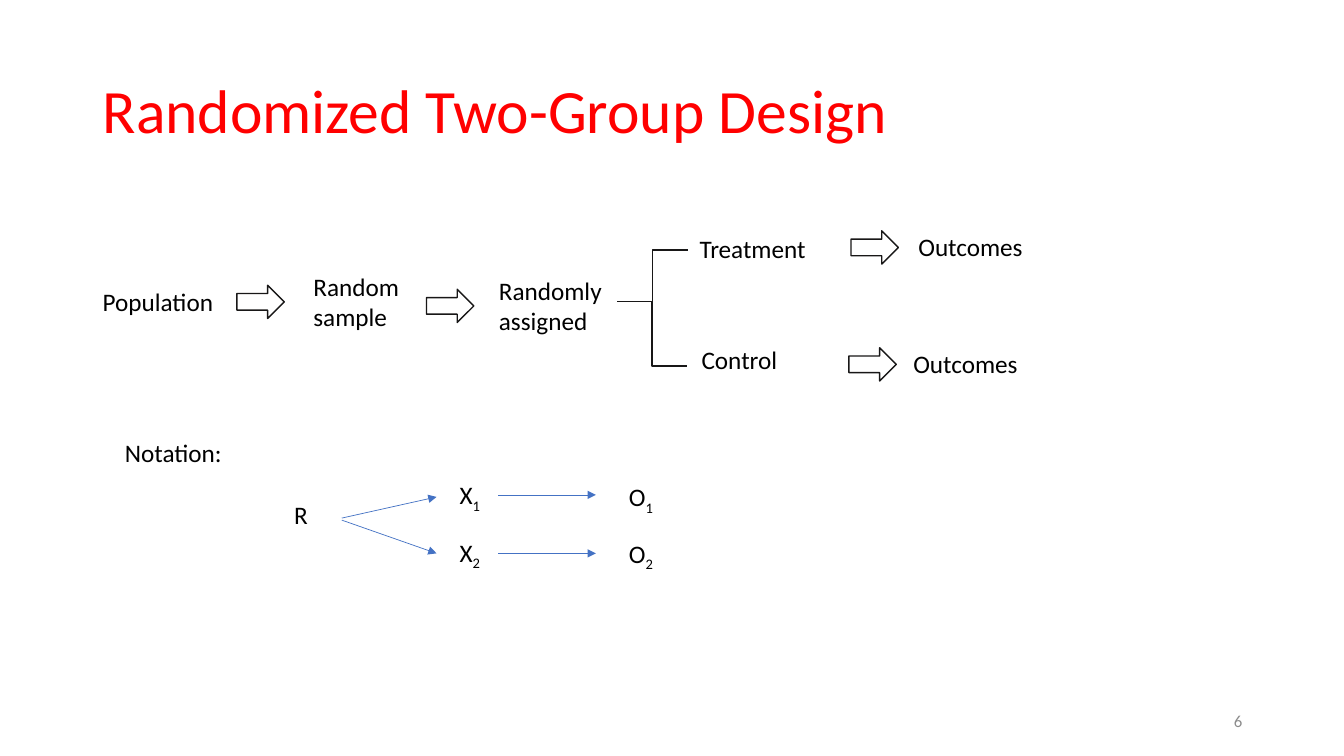
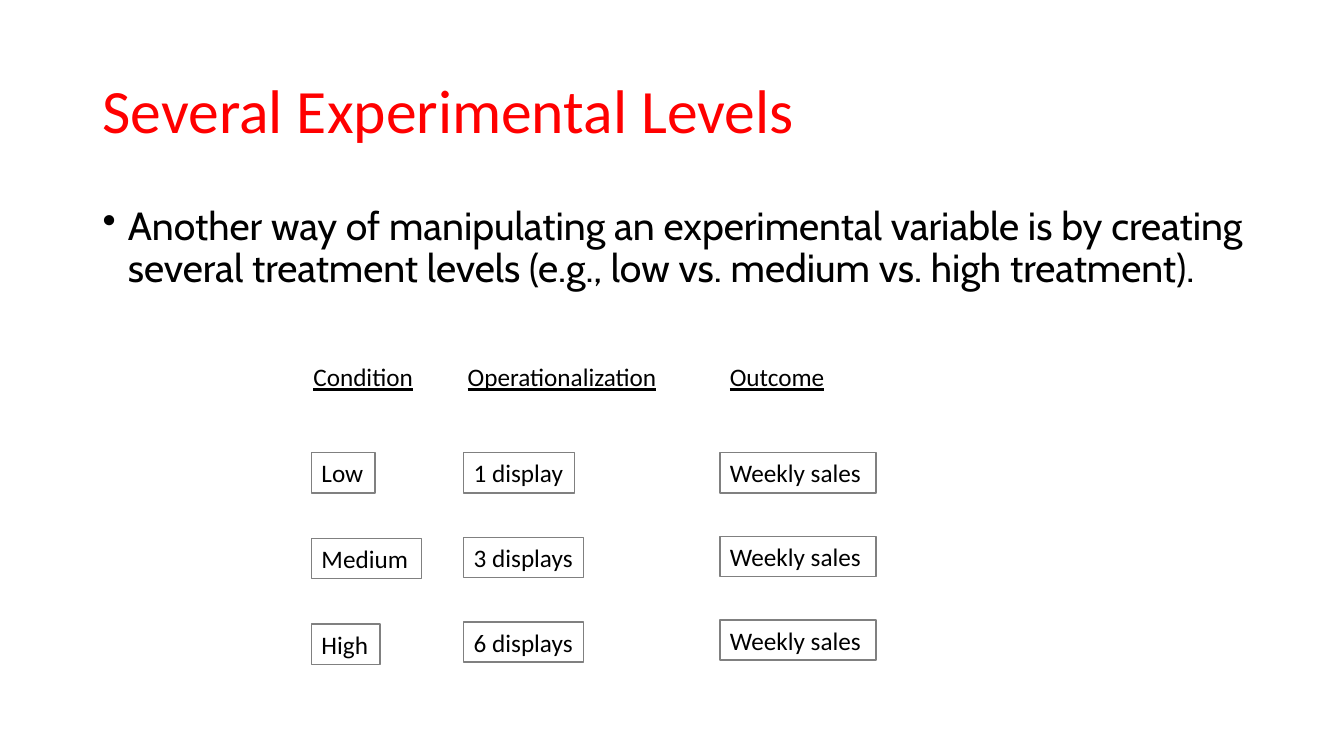
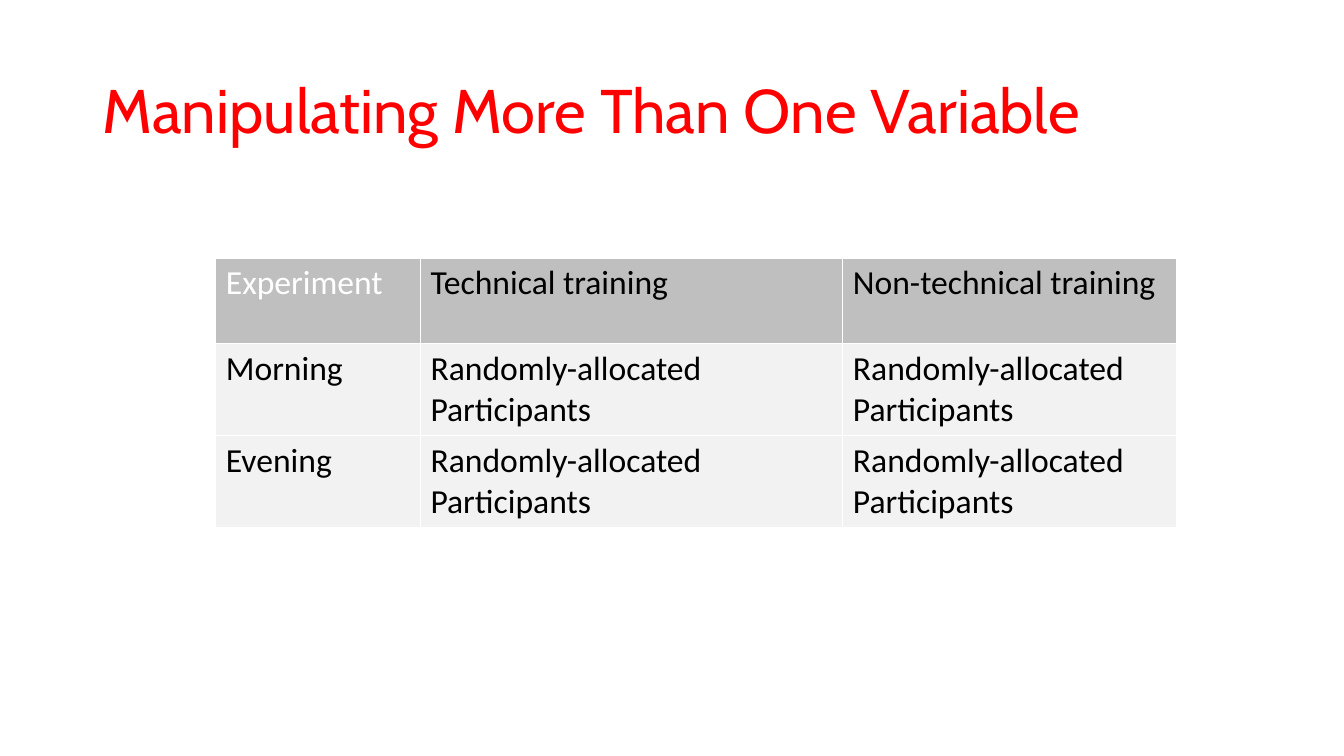
from lxml import etree
from pptx import Presentation
from pptx.dml.color import RGBColor
from pptx.enum import shapes, text
from pptx.oxml import ns
from pptx.util import Inches, Pt

# Shared look
RED = RGBColor(0xFF, 0x00, 0x00)
BLACK = RGBColor(0x00, 0x00, 0x00)
WHITE = RGBColor(0xFF, 0xFF, 0xFF)
INK = RGBColor(0x18, 0x17, 0x17)
BLUE = RGBColor(0x44, 0x72, 0xC4)
EDGE = RGBColor(0x80, 0x80, 0x80)
NUMBER = RGBColor(0x8C, 0x8C, 0x8C)
HEAD = RGBColor(0xBF, 0xBF, 0xBF)
CELL = RGBColor(0xF2, 0xF2, 0xF2)
SANS, CABIN = "Calibri", "Cabin"
LEFT, WIDE, HIGH = 0.92, 11.5, 0.4


def style(par, size=18, color=BLACK, font=SANS, under=None):
    for run in par.runs:
        run.font.size = Pt(size)
        run.font.name = font
        run.font.color.rgb = color
        run.font.underline = under


def label(slide, words, x, y, w, h=HIGH, wrap=True, sub=None, **look):
    """Plain text, with an optional subscript."""
    box = slide.shapes.add_textbox(Inches(x), Inches(y), Inches(w), Inches(h))
    frame = box.text_frame
    frame.text = words
    frame.word_wrap = wrap
    par = frame.paragraphs[0]
    if sub:
        low = par.add_run()
        low.text = sub
        low.font._element.set("baseline", "-25000")
    style(par, **look)
    return box


def title(slide, words, font=SANS):
    box = label(slide, words, LEFT, 0.4, WIDE, 1.45, size=44, color=RED, font=font)
    box.text_frame.vertical_anchor = text.MSO_ANCHOR.MIDDLE
    box.text_frame.paragraphs[0].line_spacing = 0.9


def bullet(slide, words):
    box = label(slide, words, LEFT, 2, WIDE, 4.76, size=28, font=CABIN)
    par = box.text_frame.paragraphs[0]
    par.line_spacing = 0.9
    par.space_before = Pt(10)
    props = par._p.get_or_add_pPr()
    props.set("marL", str(Inches(0.25)))
    props.set("indent", str(Inches(-0.25)))
    etree.SubElement(props, ns.qn("a:buChar")).set("char", "•")


def solid(slide, kind, x, y, w, h, line=None):
    """White preset shape, outlined when a line colour is given."""
    shape = slide.shapes.add_shape(kind, Inches(x), Inches(y), Inches(w), Inches(h))
    shape.shadow.inherit = False
    shape.fill.solid()
    shape.fill.fore_color.rgb = WHITE
    if line is None:
        shape.line.fill.background()
    else:
        shape.line.color.rgb = line
        shape.line.width = Pt(1)
    return shape


def box(slide, words, x, y, w, h=HIGH, wrap=True, line=None, under=None):
    shape = solid(slide, shapes.MSO_SHAPE.RECTANGLE, x, y, w, h, line)
    frame = shape.text_frame
    frame.text = words
    frame.word_wrap = wrap
    frame.vertical_anchor = text.MSO_ANCHOR.TOP
    par = frame.paragraphs[0]
    par.alignment = text.PP_ALIGN.LEFT
    style(par, under=under)
    return shape


def link(slide, start, end, color, width, elbow=False, head=False):
    kind = shapes.MSO_CONNECTOR.ELBOW if elbow else shapes.MSO_CONNECTOR.STRAIGHT
    ends = [Inches(v) for v in (*start, *end)]
    line = slide.shapes.add_connector(kind, *ends)
    line.line.color.rgb = color
    line.line.width = Pt(width)
    props = line._element.spPr
    if head:
        tail = etree.SubElement(props.find(ns.qn("a:ln")), ns.qn("a:tailEnd"))
        tail.set("type", "triangle")
    etree.SubElement(props, ns.qn("a:effectLst"))


def design(slide):
    title(slide, "Randomized Two-Group Design")
    number = label(slide, "6", 9.42, 6.95, 3, size=12, color=NUMBER)
    number.text_frame.vertical_anchor = text.MSO_ANCHOR.MIDDLE
    number.text_frame.paragraphs[0].alignment = text.PP_ALIGN.RIGHT

    # Flow from population to outcomes
    for words, x, y, w, h in (
        ("Population", LEFT, 2.79, 1.5, HIGH),
        ("Random sample", 3.01, 2.64, 1.5, 0.71),
        ("Randomly assigned", 4.85, 2.68, 1.97, 0.71),
        ("Treatment", 6.84, 2.27, 1.5, HIGH),
        ("Control", 6.86, 3.37, 1.5, HIGH),
    ):
        box(slide, words, x, y, w, h)
    for x, y in ((2.35, 2.83), (4.23, 2.87), (8.44, 2.29), (8.42, 3.45)):
        solid(slide, shapes.MSO_SHAPE.RIGHT_ARROW, x, y, 0.47, 0.33, INK)
    for end in ((6.82, 2.48), (6.81, 3.63)):
        link(slide, (6.12, 2.99), end, INK, 1, elbow=True)
    for x, y in ((9.01, 2.25), (8.96, 3.41)):
        label(slide, "Outcomes", x, y, 1.25, wrap=False)

    # Notation
    label(slide, "Notation:", 1.14, 4.29, 1.17, wrap=False)
    label(slide, "R", 2.82, 4.9, 0.57)
    for sub, top, out, fork, tip, mid in (
        ("1", 4.71, 4.73, 5.14, 4.93, 4.91),
        ("2", 5.28, 5.29, 5.16, 5.49, 5.49),
    ):
        label(slide, "X", 4.46, top, 0.57, sub=sub)
        label(slide, "O", 6.14, out, 0.57, sub=sub)
        link(slide, (3.39, fork), (4.33, tip), BLUE, 0.5, head=True)
        link(slide, (4.94, mid), (5.91, mid), BLUE, 0.5, head=True)


def levels(slide):
    title(slide, "Several Experimental Levels")
    bullet(slide, "Another way of manipulating an experimental variable is by "
                  "creating several treatment levels (e.g., low vs. medium "
                  "vs. high treatment).")

    # Columns: heading with its place, then items with their widths
    for head, x, w, left, step, items in (
        ("Condition", 3.01, 1.2, 3.09, 0.85,
         (("Low", 0.63), ("Medium", 1.09), ("High", 0.68))),
        ("Operationalization", 4.54, 2.1, 4.6, 0.84,
         (("1 display", 1.1), ("3 displays", 1.19), ("6 displays", 1.19))),
        ("Outcome", 7.14, 1.16, 7.14, 0.83, (("Weekly sales", 1.55),) * 3),
    ):
        box(slide, head, x, 3.54, w, wrap=False, under=True)
        for row, (words, wide) in enumerate(items):
            box(slide, words, left, 4.49 + row * step, wide, wrap=False, line=EDGE)


def grid(slide):
    title(slide, "Manipulating More Than One Variable", CABIN)
    group = "Randomly-allocated Participants"
    rows = (
        ("Experiment", "Technical training", "Non-technical training"),
        ("Morning", group, group),
        ("Evening", group, group),
    )
    table = slide.shapes.add_table(3, 3, Inches(2.14), Inches(2.56),
                                   Inches(9.53), Inches(2.67)).table
    for col, wide in zip(table.columns, (2.03, 4.19, 3.31)):
        col.width = Inches(wide)
    for row, high in zip(table.rows, (0.85, 0.91, 0.91)):
        row.height = Inches(high)
    for r, row in enumerate(rows):
        for c, words in enumerate(row):
            cell = table.cell(r, c)
            cell.fill.solid()
            cell.fill.fore_color.rgb = CELL if r else HEAD
            cell.text_frame.text = words
            par = cell.text_frame.paragraphs[0]
            style(par, 24, BLACK if r or c else WHITE)
            par.runs[0].font.bold = False


def main():
    deck = Presentation()
    deck.slide_width = Inches(13.33)
    deck.slide_height = Inches(7.5)
    for build in (design, levels, grid):
        build(deck.slides.add_slide(deck.slide_layouts[6]))
    deck.save("out.pptx")


if __name__ == "__main__":
    main()
